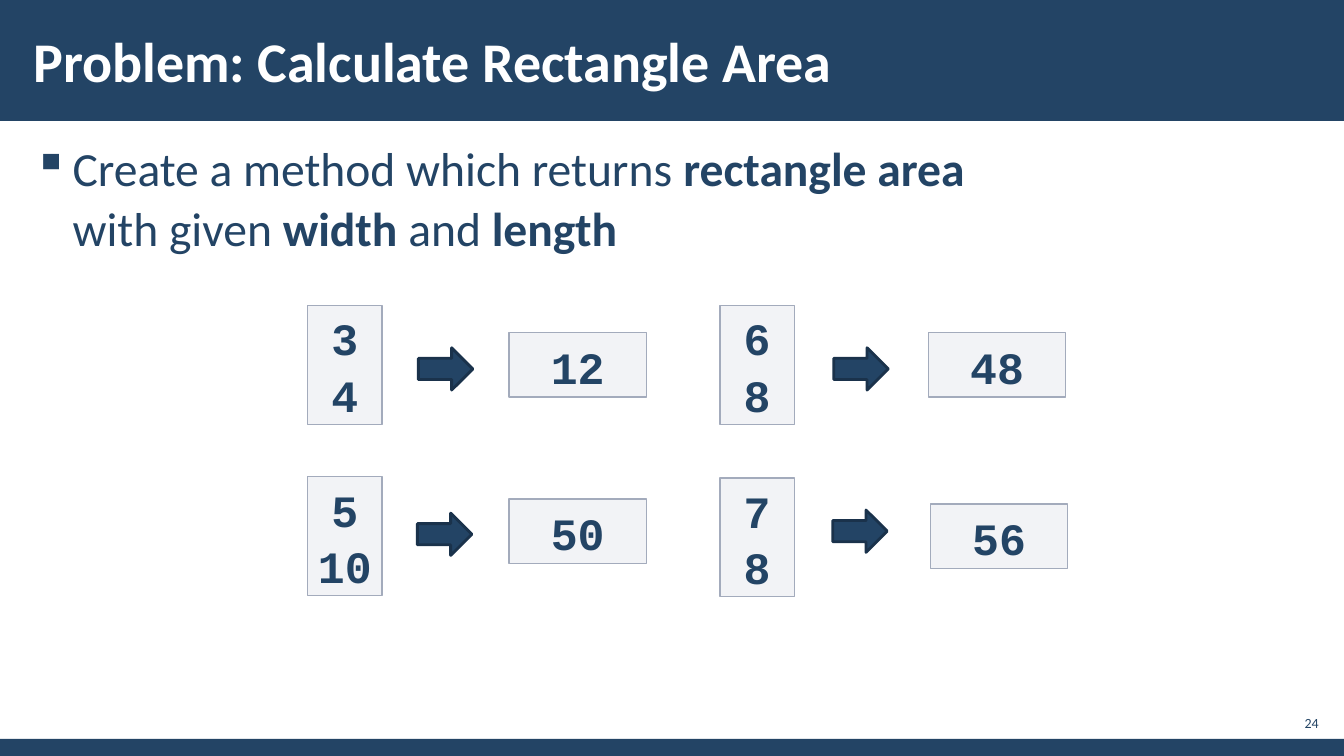
import pptx
import pptx.dml.color
import pptx.enum.shapes
import pptx.enum.text
import pptx.util
from dataclasses import dataclass
from pptx.util import Inches
from lxml import etree

# Content
TITLE = "Problem: Calculate Rectangle Area"
PAGE_NUMBER = "24"
TASK_LINES = [
    [("Create a method which returns ", False), ("rectangle area ", True)],
    [("with given ", False), ("width", True), (" and ", False), ("length", True)],
]
# Each example: width and length, area, then (left, top) of input, arrow, output
EXAMPLES = [
    (("3", "4"), "12", (3.05, 3.03), (4.15, 3.45), (5.05, 3.3)),
    (("6", "8"), "48", (7.14, 3.03), (8.27, 3.45), (9.21, 3.3)),
    (("5", "10"), "50", (3.05, 4.73), (4.14, 5.09), (5.05, 4.95)),
    (("7", "8"), "56", (7.14, 4.74), (8.26, 5.06), (9.23, 5.0)),
]
INPUT_SIZE, ARROW_SIZE, OUTPUT_SIZE = (0.74, 1.18), (0.54, 0.42), (1.36, 0.64)
BARS = [(0, 1.2), (7.33, 0.17)]
SLIDE_WIDTH, SLIDE_HEIGHT = 13.33, 7.5


@dataclass(frozen=True)
class Theme:
    navy: str = "234465"
    dark_navy: str = "1A324B"
    white: str = "FFFFFF"
    box_fill: str = "C2C7D2"
    box_line: str = "A3ABBC"
    box_opacity: int = 20000
    text_font: str = "Calibri"
    code_font: str = "Courier New"
    title_size: int = 40
    task_size: int = 34
    code_size: int = 32
    number_size: int = 10


THEME = Theme()
ALIGN = pptx.enum.text.PP_ALIGN
ANCHOR = pptx.enum.text.MSO_ANCHOR
SHAPE = pptx.enum.shapes.MSO_SHAPE
A = "{http://schemas.openxmlformats.org/drawingml/2006/main}"


def rgb(color):
    return pptx.dml.color.RGBColor.from_string(color)


def format_run(run, size, color=THEME.navy, bold=False, font=THEME.text_font):
    run.font.name = font
    run.font.size = pptx.util.Pt(size)
    run.font.bold = bold
    run.font.color.rgb = rgb(color)


def set_frame(frame, side, edge, anchor):
    frame.word_wrap = True
    frame.auto_size = pptx.enum.text.MSO_AUTO_SIZE.NONE
    frame.margin_left = frame.margin_right = Inches(side)
    frame.margin_top = frame.margin_bottom = Inches(edge)
    frame.vertical_anchor = anchor


def add_shape(slide, kind, position, size, fill, line=None, line_width=1):
    shape = slide.shapes.add_shape(kind, *map(Inches, (*position, *size)))
    shape.shadow.inherit = False
    shape.fill.solid()
    shape.fill.fore_color.rgb = rgb(fill)
    if line:
        shape.line.color.rgb = rgb(line)
        shape.line.width = pptx.util.Pt(line_width)
    else:
        shape.line.fill.background()
    return shape


def add_value_box(slide, position, size, values):
    box = add_shape(slide, SHAPE.RECTANGLE, position, size, THEME.box_fill, THEME.box_line)
    color = box._element.spPr.find(f"{A}solidFill/{A}srgbClr")
    etree.SubElement(color, f"{A}alpha", val=str(THEME.box_opacity))
    frame = box.text_frame
    set_frame(frame, 0.05, 0.05, ANCHOR.MIDDLE)
    frame.text = "\n".join(values)
    for paragraph in frame.paragraphs:
        paragraph.alignment = ALIGN.CENTER
        paragraph.line_spacing = 1.05
        format_run(paragraph.runs[0], THEME.code_size, bold=True, font=THEME.code_font)


def add_title(slide):
    title = slide.shapes.title
    title.left, title.top = Inches(0.21), Inches(0.11)
    title.width, title.height = Inches(10.46), Inches(0.97)
    set_frame(title.text_frame, 0.12, 0.04, ANCHOR.MIDDLE)
    title.text_frame.text = TITLE
    paragraph = title.text_frame.paragraphs[0]
    paragraph.alignment = ALIGN.LEFT
    format_run(paragraph.runs[0], THEME.title_size, THEME.white, bold=True)
    slide.shapes._spTree.append(title._element)  # bring in front of the header bar


def add_task(slide):
    box = slide.shapes.add_textbox(*map(Inches, (0.21, 1.31, 12.92, 5.69)))
    set_frame(box.text_frame, 0.12, 0.04, ANCHOR.TOP)
    paragraph = box.text_frame.paragraphs[0]
    paragraph.line_spacing = 1.05
    paragraph.space_before = paragraph.space_after = pptx.util.Pt(6)
    for index, line in enumerate(TASK_LINES):
        if index:
            paragraph.add_line_break()
        for text, bold in line:
            run = paragraph.add_run()
            run.text = text
            format_run(run, THEME.task_size, bold=bold)
    # Square bullet with a hanging indent
    properties = paragraph._p.get_or_add_pPr()
    properties.set("marL", str(Inches(0.39)))
    properties.set("indent", str(-Inches(0.39)))
    etree.SubElement(properties, f"{A}buChar", char="▪")


def add_page_number(slide):
    box = slide.shapes.add_textbox(*map(Inches, (12.65, 7, 0.47, 0.34)))
    set_frame(box.text_frame, 0.04, 0.04, ANCHOR.MIDDLE)
    box.text_frame.text = PAGE_NUMBER
    paragraph = box.text_frame.paragraphs[0]
    paragraph.alignment = ALIGN.RIGHT
    format_run(paragraph.runs[0], THEME.number_size)


def main():
    presentation = pptx.Presentation()
    presentation.slide_width = Inches(SLIDE_WIDTH)
    presentation.slide_height = Inches(SLIDE_HEIGHT)
    slide = presentation.slides.add_slide(presentation.slide_layouts[5])

    # Header and footer bars
    for top, height in BARS:
        add_shape(slide, SHAPE.RECTANGLE, (0, top), (SLIDE_WIDTH, height), THEME.navy)

    # Text
    add_title(slide)
    add_task(slide)
    add_page_number(slide)

    # Examples: input, arrow, area
    for sides, area, input_at, arrow_at, output_at in EXAMPLES:
        add_value_box(slide, input_at, INPUT_SIZE, sides)
        add_shape(slide, SHAPE.RIGHT_ARROW, arrow_at, ARROW_SIZE,
                  THEME.navy, THEME.dark_navy, 2)
        add_value_box(slide, output_at, OUTPUT_SIZE, [area])

    presentation.save("out.pptx")


if __name__ == "__main__":
    main()
